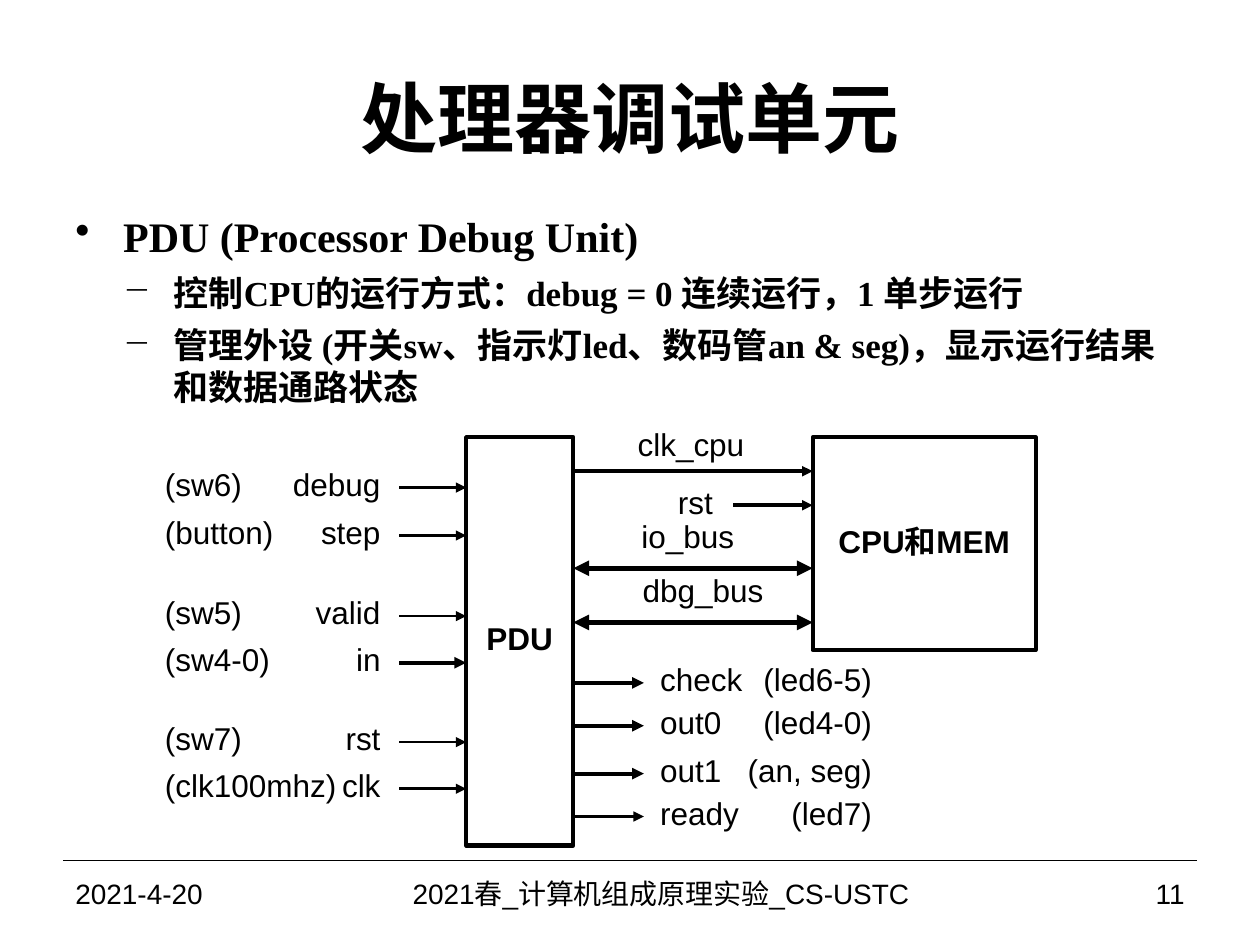
from lxml import etree
from pptx import Presentation
from pptx.dml.color import RGBColor
from pptx.enum.shapes import MSO_CONNECTOR, MSO_SHAPE
from pptx.enum.text import MSO_ANCHOR, PP_ALIGN
from pptx.oxml.ns import qn
from pptx.util import Inches, Pt

LEFT, CENTER, RIGHT = PP_ALIGN.LEFT, PP_ALIGN.CENTER, PP_ALIGN.RIGHT
TOP, MIDDLE = MSO_ANCHOR.TOP, MSO_ANCHOR.MIDDLE
RECTANGLE, STRAIGHT = MSO_SHAPE.RECTANGLE, MSO_CONNECTOR.STRAIGHT
BLACK = "000000"
COLUMNS, ROWS = 100, 75
LABEL_HEIGHT, LABEL_RISE = 3, 0.3
PDU_LEFT, PDU_RIGHT, CPU_LEFT = 37, 45.5, 64.5

INPUTS = [
    ("(sw6)", "debug", 38.7, 1.5),
    ("(button)", "step", 42.5, 1.5),
    ("(sw5)", "valid", 48.9, 1.5),
    ("(sw4-0)", "in", 52.6, 2.25),
    ("(sw7)", "rst", 58.9, 1.5),
    ("(clk100mhz)", "clk", 62.6, 1.5),
]
OUTPUTS = [
    ("check", "(led6-5)", 54.2, 2.25),
    ("out0", "(led4-0)", 57.6, 2.25),
    ("out1", "(an, seg)", 61.4, 2.25),
    ("ready", "(led7)", 64.8, 1.5),
]
LINKS = [
    ("clk_cpu", 50.6, 35.2, PDU_RIGHT, 37.4, 2, False),
    ("rst", 53.8, 39.8, 58.2, 40.1, 2, False),
    ("io_bus", 50.9, 42.5, PDU_RIGHT, 45.1, 3, True),
    ("dbg_bus", 51, 46.8, PDU_RIGHT, 49.4, 3, True),
]
BULLETS = [
    ("PDU (Processor Debug Unit)", 0, 24),
    ("控制CPU的运行方式：debug = 0 连续运行，1 单步运行", 1, 20),
    ("管理外设 (开关sw、指示灯led、数码管an & seg)，显示运行结果和数据通路状态", 1, 20),
]
BULLET_STYLES = [("•", 0.38, 0.38), ("−", 0.78, 0.4)]


def grid(*cells):
    """Turn counts of grid cells into lengths."""
    return [Inches(cell / 10) for cell in cells]


def color(value):
    """Turn a hex string into a colour."""
    return RGBColor.from_string(value)


def style(para, size, bold=False, font="Arial"):
    """Set the font of a whole paragraph."""
    para.font.name = font
    para.font.size = Pt(size)
    para.font.bold = bold
    para.font.color.rgb = color(BLACK)


def add_text(page, text, area, size=18, align=LEFT, bold=False, inset=0):
    """Add one line of vertically centred text in a grid area."""
    frame = page.shapes.add_textbox(*grid(*area)).text_frame
    frame.word_wrap = True
    frame.vertical_anchor = MIDDLE
    frame.margin_left = frame.margin_right = Inches(inset)
    frame.margin_top = frame.margin_bottom = 0
    para = frame.paragraphs[0]
    para.text = text
    para.alignment = align
    style(para, size, bold)


def add_label(page, text, left, middle, width, align=LEFT):
    """Add a signal label centred on a row."""
    area = (left, middle - LABEL_HEIGHT / 2, width, LABEL_HEIGHT)
    add_text(page, text, area, align=align)


def add_line(page, start, end, row, width, head=False, tail=False):
    """Add a horizontal line with arrowheads where asked."""
    line = page.shapes.add_connector(STRAIGHT, *grid(start, row, end, row))
    line.line.color.rgb = color(BLACK)
    line.line.width = Pt(width)
    outline = line.line._get_or_add_ln()
    for tag, wanted in (("a:headEnd", head), ("a:tailEnd", tail)):
        if wanted:
            etree.SubElement(outline, qn(tag), type="triangle")
    etree.SubElement(line._element.spPr, qn("a:effectLst"))


def add_block(page, text, area, width):
    """Add an outlined block with its name in the middle."""
    block = page.shapes.add_shape(RECTANGLE, *grid(*area))
    block.shadow.inherit = False
    block.fill.background()
    block.line.color.rgb = color(BLACK)
    block.line.width = Pt(width)
    frame = block.text_frame
    frame.word_wrap = False
    frame.vertical_anchor = MIDDLE
    frame.margin_left = frame.margin_right = 0
    para = frame.paragraphs[0]
    para.text = text
    para.alignment = CENTER
    para.line_spacing = Pt(18)
    style(para, 18, bold=True)


def add_bullets(page, area):
    """Add the two-level bullet list."""
    frame = page.shapes.add_textbox(*grid(*area)).text_frame
    frame.word_wrap = True
    frame.vertical_anchor = TOP
    for index, (text, level, size) in enumerate(BULLETS):
        para = frame.add_paragraph() if index else frame.paragraphs[0]
        para.text = text
        para.level = level
        para.space_before = Pt(6 if index else 0)
        mark, margin, hanging = BULLET_STYLES[level]
        properties = para._p.get_or_add_pPr()
        properties.set("marL", str(Inches(margin)))
        properties.set("indent", str(-Inches(hanging)))
        etree.SubElement(properties, qn("a:buChar"), char=mark)
        style(para, size, bold=True, font="Times New Roman")


def add_inputs(page):
    """Add the signals that enter the PDU."""
    for source, name, row, width in INPUTS:
        add_label(page, source, 13.1, row - LABEL_RISE, 14)
        add_label(page, name, 22.2, row - LABEL_RISE, 8, RIGHT)
        add_line(page, 31.7, PDU_LEFT, row, width, tail=True)


def add_outputs(page):
    """Add the signals that leave the PDU."""
    for name, target, row, width in OUTPUTS:
        add_label(page, name, 52.4, row - LABEL_RISE, 7)
        add_label(page, target, 59.2, row - LABEL_RISE, 10, RIGHT)
        add_line(page, PDU_RIGHT, 51.1, row, width, tail=True)


def add_links(page):
    """Add the signals between the PDU and the CPU."""
    for name, left, middle, start, row, width, both in LINKS:
        add_label(page, name, left, middle, 10.5)
        add_line(page, start, CPU_LEFT, row, width, head=both, tail=True)


def add_footer(page):
    """Add the rule, date, course and page number."""
    add_line(page, 5, 95, 68.3, 0.75)
    for text, left, width, align in (
        ("2021-4-20", 5, 23.3, LEFT),
        ("2021春_计算机组成原理实验_CS-USTC", 28.3, 48.3, CENTER),
        ("11", 76.7, 18.3, RIGHT),
    ):
        add_text(page, text, (left, 68.3, width, 5.2), 16, align, inset=0.1)


def main():
    """Build the slide and save it."""
    deck = Presentation()
    deck.slide_width, deck.slide_height = grid(COLUMNS, ROWS)
    page = deck.slides.add_slide(deck.slide_layouts[6])
    add_text(page, "处理器调试单元", (5, 3, 90, 12.5), 44, CENTER, bold=True)
    add_bullets(page, (5, 16.2, 88.3, 17.8))
    add_footer(page)
    add_block(page, "PDU", (PDU_LEFT, 34.7, PDU_RIGHT - PDU_LEFT, 32.4), 2.5)
    add_block(page, "CPU和MEM", (CPU_LEFT, 34.7, 17.7, 16.9), 2.25)
    add_inputs(page)
    add_outputs(page)
    add_links(page)
    deck.save("out.pptx")


if __name__ == "__main__":
    main()
